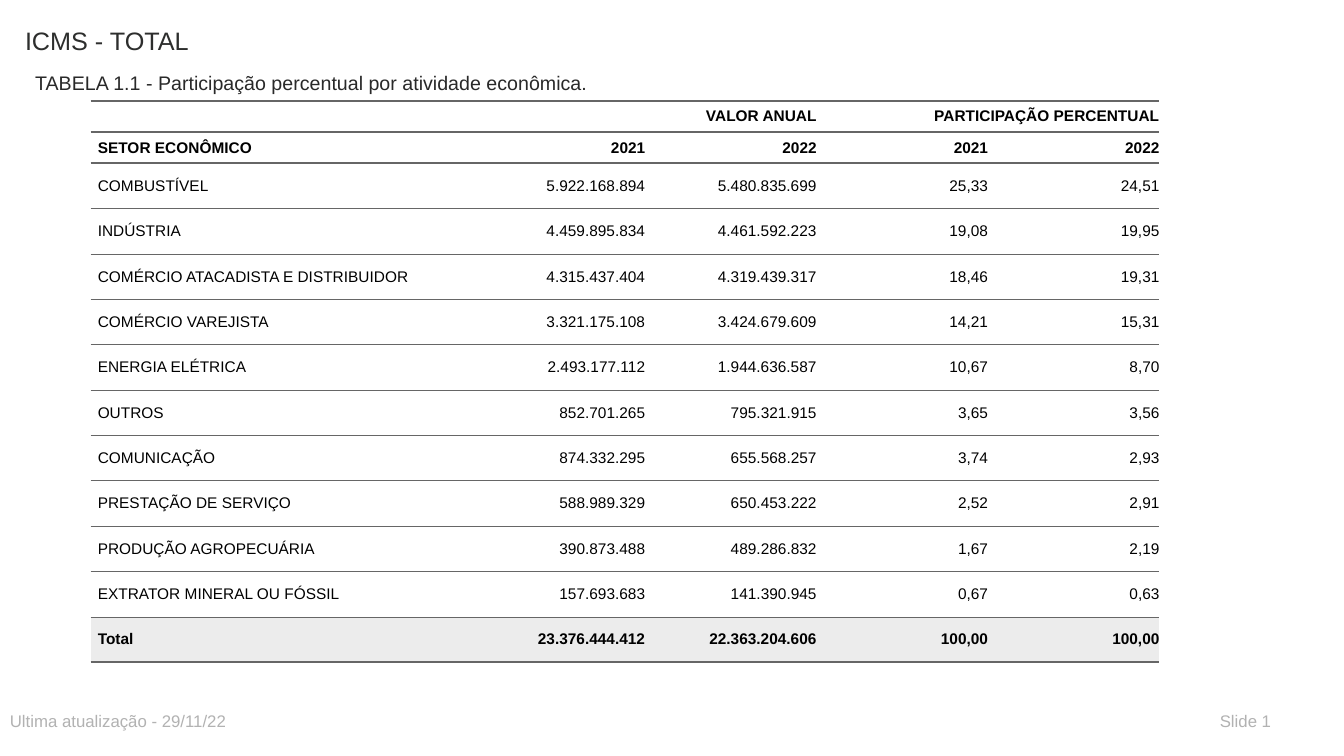
from lxml.etree import SubElement
from pptx import Presentation
from pptx.dml.color import RGBColor
from pptx.enum.text import MSO_ANCHOR, PP_ALIGN
from pptx.oxml.ns import qn
from pptx.util import Inches, Pt

COLORS = {
    "title": "2D2E2D",
    "subtitle": "292929",
    "footer": "B2B2B2",
    "table_text": "000000",
    "rule": "666666",
    "row": "FFFFFF",
    "total": "ECECEC",
}
FONT = "Arial"
PLAIN_TABLE_STYLE = "{2D5ABB26-0587-4C30-8999-92F81FD0307C}"
HEADER_ROWS = 2
COLUMN_WIDTHS = [3.8, 1.7, 1.7, 1.7, 1.7]
SECTORS = [
    ["", "VALOR ANUAL", "", "PARTICIPAÇÃO PERCENTUAL", ""],
    ["SETOR ECONÔMICO", "2021", "2022", "2021", "2022"],
    ["COMBUSTÍVEL", "5.922.168.894", "5.480.835.699", "25,33", "24,51"],
    ["INDÚSTRIA", "4.459.895.834", "4.461.592.223", "19,08", "19,95"],
    ["COMÉRCIO ATACADISTA E DISTRIBUIDOR", "4.315.437.404", "4.319.439.317", "18,46", "19,31"],
    ["COMÉRCIO VAREJISTA", "3.321.175.108", "3.424.679.609", "14,21", "15,31"],
    ["ENERGIA ELÉTRICA", "2.493.177.112", "1.944.636.587", "10,67", "8,70"],
    ["OUTROS", "852.701.265", "795.321.915", "3,65", "3,56"],
    ["COMUNICAÇÃO", "874.332.295", "655.568.257", "3,74", "2,93"],
    ["PRESTAÇÃO DE SERVIÇO", "588.989.329", "650.453.222", "2,52", "2,91"],
    ["PRODUÇÃO AGROPECUÁRIA", "390.873.488", "489.286.832", "1,67", "2,19"],
    ["EXTRATOR MINERAL OU FÓSSIL", "157.693.683", "141.390.945", "0,67", "0,63"],
    ["Total", "23.376.444.412", "22.363.204.606", "100,00", "100,00"],
]
TOTAL_ROW = len(SECTORS) - 1


def style_font(paragraph, size, color, bold=False):
    font = paragraph.font
    font.name = FONT
    font.size = Pt(size)
    font.bold = bold
    font.color.rgb = RGBColor.from_string(COLORS[color])


def add_label(slide, text, left, top, width, height, size, color):
    label = slide.shapes.add_textbox(Inches(left), Inches(top), Inches(width), Inches(height))
    label.text_frame.word_wrap = True
    paragraph = label.text_frame.paragraphs[0]
    paragraph.text = text
    style_font(paragraph, size, color)


def rule_width(boundary):
    return 2 if boundary <= HEADER_ROWS or boundary == len(SECTORS) else 0.5


def add_rule(cell, side, width):
    rule = SubElement(cell._tc.get_or_add_tcPr(), qn(f"a:{side}"), w=str(Pt(width)))
    fill = SubElement(rule, qn("a:solidFill"))
    SubElement(fill, qn("a:srgbClr"), val=COLORS["rule"])


def format_cell(cell, text, row, column):
    add_rule(cell, "lnT", rule_width(row))
    add_rule(cell, "lnB", rule_width(row + 1))
    cell.fill.solid()
    cell.fill.fore_color.rgb = RGBColor.from_string(COLORS["total" if row == TOTAL_ROW else "row"])
    cell.margin_left = Inches(0 if column else 0.07)
    cell.margin_right = cell.margin_top = cell.margin_bottom = Inches(0)
    cell.vertical_anchor = MSO_ANCHOR.MIDDLE
    paragraph = cell.text_frame.paragraphs[0]
    paragraph.text = text
    paragraph.alignment = PP_ALIGN.RIGHT if column else PP_ALIGN.LEFT
    style_font(paragraph, 11, "table_text", row < HEADER_ROWS or row == TOTAL_ROW)


def add_sector_table(slide):
    heights = [0.31 if row < HEADER_ROWS else 0.45 for row in range(len(SECTORS))]
    table = slide.shapes.add_table(
        len(SECTORS), len(COLUMN_WIDTHS), Inches(0.9), Inches(1),
        Inches(sum(COLUMN_WIDTHS)), Inches(sum(heights))).table
    table.first_row = table.horz_banding = False
    table._tbl.tblPr.find(qn("a:tableStyleId")).text = PLAIN_TABLE_STYLE
    for column, width in zip(table.columns, COLUMN_WIDTHS):
        column.width = Inches(width)
    for row, height in zip(table.rows, heights):
        row.height = Inches(height)
    for row, values in enumerate(SECTORS):
        for column, value in enumerate(values):
            format_cell(table.cell(row, column), value, row, column)
    for first in (1, 3):
        table.cell(0, first).merge(table.cell(0, first + 1))


def main():
    presentation = Presentation()
    presentation.slide_width = Inches(13.33)
    presentation.slide_height = Inches(7.5)
    slide = presentation.slides.add_slide(presentation.slide_layouts[6])
    add_label(slide, "ICMS - TOTAL", 0.15, 0.2, 8, 0.59, 18, "title")
    add_label(slide, "TABELA 1.1 - Participação percentual por atividade econômica.",
              0.25, 0.65, 6.5, 0.3, 14, "subtitle")
    add_sector_table(slide)
    add_label(slide, "Ultima atualização - 29/11/22", 0, 7, 6.5, 0.3, 12, "footer")
    add_label(slide, "Slide 1", 12, 7, 0.9, 0.3, 12, "footer")
    presentation.save("out.pptx")


if __name__ == "__main__":
    main()
